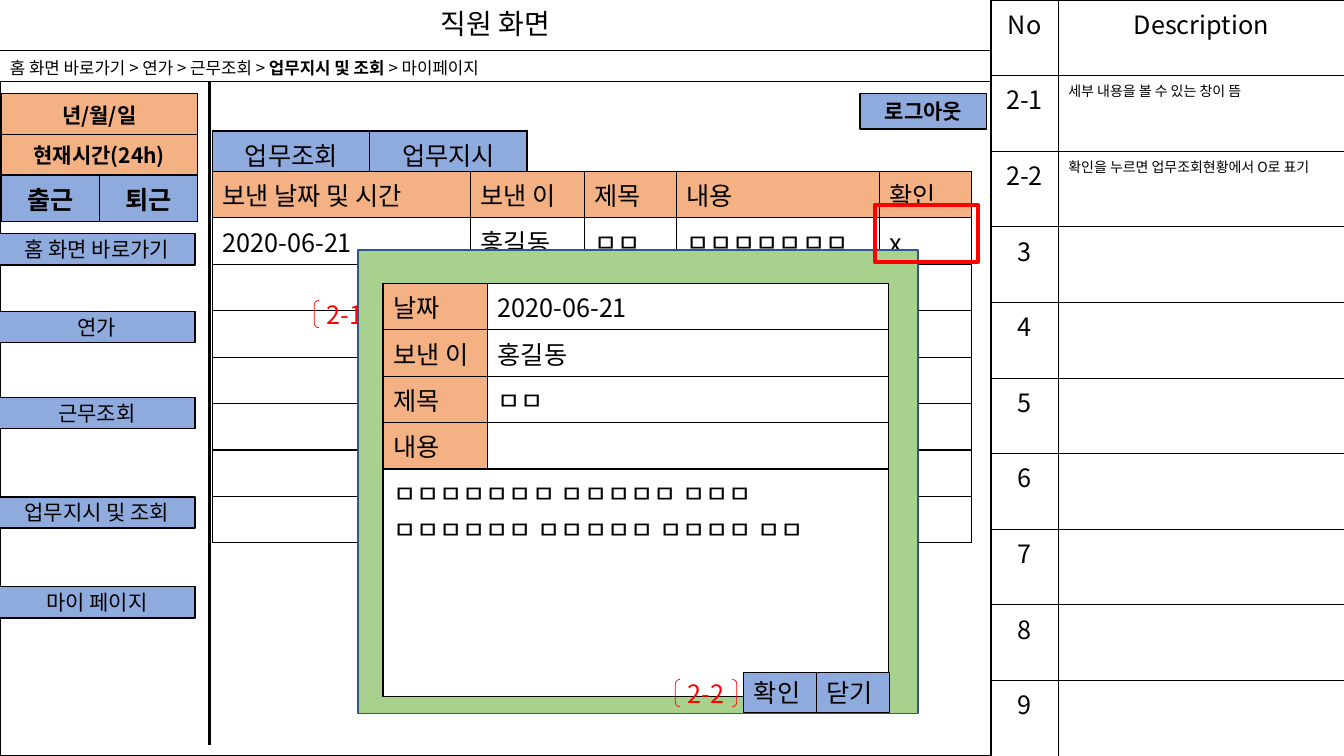
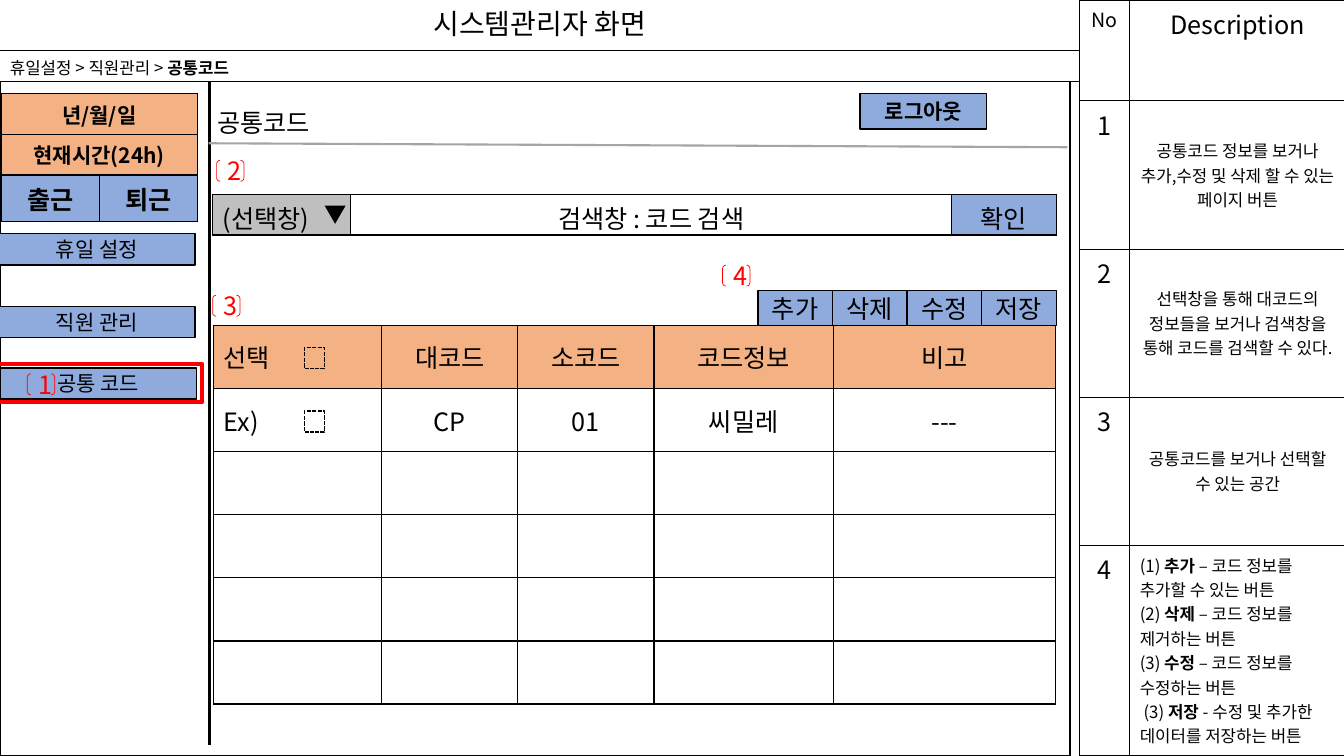
from dataclasses import dataclass
from typing import NamedTuple, Optional

from lxml.etree import SubElement
from pptx import Presentation
from pptx.dml.color import RGBColor
from pptx.enum.dml import MSO_LINE
from pptx.enum.shapes import MSO_CONNECTOR, MSO_SHAPE
from pptx.enum.text import MSO_ANCHOR, PP_ALIGN
from pptx.oxml.ns import qn
from pptx.slide import Slide
from pptx.util import Cm, Pt

BLACK = RGBColor(0, 0, 0)
WHITE = RGBColor(255, 255, 255)
RED = RGBColor(255, 0, 0)
BLUE = RGBColor(0x8F, 0xAA, 0xDC)
NAVY = RGBColor(0x32, 0x54, 0x91)
ORANGE = RGBColor(0xF4, 0xB1, 0x83)
GREEN = RGBColor(0xA9, 0xD1, 0x8E)
SILVER = RGBColor(0xBF, 0xBF, 0xBF)
GRAY = RGBColor(0xA5, 0xA5, 0xA5)
FONT = "Noto Sans CJK KR"
LEFT, MID = PP_ALIGN.LEFT, PP_ALIGN.CENTER
HIGH = 19.05


class Area(NamedTuple):
    left: float
    top: float
    width: float
    height: float


class Style(NamedTuple):
    size: int = 18
    bold: bool = False
    color: RGBColor = BLACK
    align: PP_ALIGN = MID
    anchor: MSO_ANCHOR = MSO_ANCHOR.MIDDLE


class Cell(NamedTuple):
    text: str = ""
    fill: Optional[RGBColor] = None
    style: Style = Style(anchor=MSO_ANCHOR.TOP)


class Button(NamedTuple):
    text: str
    left: float
    top: float


@dataclass
class Grid:
    left: float
    top: float
    cols: list[float]
    rows: list[float]
    cells: list[list[Cell]]
    wide: tuple[int, ...] = ()
    line: float = 1


@dataclass
class Page:
    title: str
    crumbs: str
    body: float
    band: float
    menu: list[Button]
    notes: Grid


TOP = Style(anchor=MSO_ANCHOR.TOP)
START = Style(align=LEFT, anchor=MSO_ANCHOR.TOP)
MENU = Style(15)
STRONG = Style(15, True)
SMALL = Style(12)
TINY = START._replace(size=10)
TAG = Style(color=RED)


def write(frame, text: str, style: Style) -> None:
    frame.text = text
    frame.word_wrap = True
    for para in frame.paragraphs:
        head, *tail = para.text.split("*")
        para.text = head
        para.alignment = style.align
        for part in tail:
            para.add_run().text = part
        for spot, run in enumerate(para.runs):
            font = run.font
            font.size = Pt(style.size)
            font.bold = style.bold or spot % 2 == 1
            font.color.rgb = style.color
            font.name = FONT
            SubElement(run._r.get_or_add_rPr(), qn("a:ea"), typeface=FONT)


def box(slide: Slide, area: Area, text: str = "", style: Style = Style(),
        fill: Optional[RGBColor] = None, line: Optional[RGBColor] = BLACK,
        width: float = 1, kind: MSO_SHAPE = MSO_SHAPE.RECTANGLE):
    shape = slide.shapes.add_shape(kind, *map(Cm, area))
    shape.shadow.inherit = False
    if fill is None:
        shape.fill.background()
    else:
        shape.fill.solid()
        shape.fill.fore_color.rgb = fill
    if line is None:
        shape.line.fill.background()
    else:
        shape.line.color.rgb = line
        shape.line.width = Pt(width)
    if text:
        write(shape.text_frame, text, style)
        shape.text_frame.vertical_anchor = style.anchor
    return shape


def label(slide: Slide, area: Area, text: str, style: Style, wrap: bool = True) -> None:
    frame = slide.shapes.add_textbox(*map(Cm, area)).text_frame
    write(frame, text, style)
    frame.word_wrap = wrap


def rule(slide: Slide, x1: float, y1: float, x2: float, y2: float, color: RGBColor) -> None:
    line = slide.shapes.add_connector(MSO_CONNECTOR.STRAIGHT, Cm(x1), Cm(y1), Cm(x2), Cm(y2))
    line.line.color.rgb = color
    line.line.width = Pt(1.5)
    SubElement(line._element.spPr, qn("a:effectLst"))


def tag(slide: Slide, text: str, left: float, top: float) -> None:
    size = (1.55, 0.69) if len(text) > 1 else (0.69, 0.53)
    box(slide, Area(left, top, *size), text, TAG, line=RED, width=0.5,
        kind=MSO_SHAPE.DOUBLE_BRACKET)


def border(cell, width: float) -> None:
    props = cell._tc.get_or_add_tcPr()
    for side in ("a:lnL", "a:lnR", "a:lnT", "a:lnB"):
        edge = SubElement(props, qn(side), w=str(int(Pt(width))))
        fill = SubElement(edge, qn("a:solidFill"))
        SubElement(fill, qn("a:srgbClr"), val=str(BLACK))


def draw(slide: Slide, grid: Grid) -> None:
    area = Area(grid.left, grid.top, sum(grid.cols), sum(grid.rows))
    table = slide.shapes.add_table(len(grid.rows), len(grid.cols), *map(Cm, area)).table
    table.first_row = table.horz_banding = False
    for col, width in zip(table.columns, grid.cols):
        col.width = Cm(width)
    for row, height in zip(table.rows, grid.rows):
        row.height = Cm(height)
    for y in range(len(grid.rows)):
        given = grid.cells[y] if y < len(grid.cells) else []
        for x in range(len(grid.cols)):
            item = given[x] if x < len(given) else Cell()
            cell = table.cell(y, x)
            border(cell, grid.line)
            if item.fill is None:
                cell.fill.background()
            else:
                cell.fill.solid()
                cell.fill.fore_color.rgb = item.fill
            cell.vertical_anchor = item.style.anchor
            if item.text:
                write(cell.text_frame, item.text, item.style)
    for y in grid.wide:
        table.cell(y, 0).merge(table.cell(y, len(grid.cols) - 1))


def line_up(texts: list[str], fill: Optional[RGBColor], style: Style) -> list[Cell]:
    return [Cell(text, fill, style) for text in texts]


def start(deck, page: Page) -> Slide:
    slide = deck.slides.add_slide(deck.slide_layouts[6])
    box(slide, Area(0, 2.05, page.body, 17), fill=WHITE)
    title = box(slide, Area(0, 0, page.band, 1.27), page.title, Style(20), width=0.75)
    title.text_frame.paragraphs[0].line_spacing = 0.9
    draw(slide, page.notes)
    box(slide, Area(0, 1.27, page.band, 0.78), width=0.75)
    label(slide, Area(0, 1.32, 15.6, 0.76), page.crumbs, START._replace(size=12))
    clock = STRONG._replace(anchor=MSO_ANCHOR.TOP)
    draw(slide, Grid(0.03, 2.36, [2.47] * 2, [1.02, 1.03, 1.17], [
        [Cell("년/월/일", ORANGE, clock)],
        [Cell("현재시간(24h)", ORANGE, clock)],
        line_up(["출근", "퇴근"], BLUE, clock._replace(size=18)),
    ], wide=(0, 1)))
    for item in page.menu:
        box(slide, Area(item.left, item.top, 4.95, 0.79), item.text, MENU, BLUE)
    rule(slide, 5.28, 2.05, 5.28, 18.77, BLACK)
    return slide


def logout(slide: Slide) -> None:
    box(slide, Area(21.67, 2.36, 3.2, 0.89), "로그아웃", STRONG, BLUE)


def staff(deck) -> None:
    notes = [line_up(["No", "Description"], None, TOP),
             [Cell("2-1"), Cell("세부 내용을 볼 수 있는 창이 뜸", None, TINY)],
             [Cell("2-2"), Cell("확인을 누르면 업무조회현황에서 O로 표기", None, TINY)]]
    notes += [[Cell(str(count))] for count in range(3, 10)]
    slide = start(deck, Page(
        "직원 화면",
        "홈 화면 바로가기 > 연가 > 근무조회 > *업무지시 및 조회 *> 마이페이지",
        24.97, 24.97,
        [Button("홈 화면 바로가기", -0.03, 5.89), Button("연가", -0.03, 7.85),
         Button("근무조회", -0.03, 10.01), Button("업무지시 및 조회", -0.03, 12.52),
         Button("마이 페이지", -0.03, 14.78)],
        Grid(24.97, 0, [1.7, 7.21], [HIGH / 10] * 10, notes, line=0.5)))
    draw(slide, Grid(5.36, 3.3, [3.96] * 2, [1.02],
                     [line_up(["업무조회", "업무지시"], BLUE, TOP)]))
    draw(slide, Grid(5.36, 4.32, [6.5, 2.87, 2.31, 5.13, 2.31], [1.17] * 8, [
        line_up(["보낸 날짜 및 시간", "보낸 이", "제목", "내용", "확인"], ORANGE, START),
        line_up(["2020-06-21", "홍길동", "ㅁㅁ", "ㅁㅁㅁㅁㅁㅁㅁ", "x"], None, START),
    ]))
    tag(slide, "2-1", 7.92, 7.57)
    box(slide, Area(9.02, 6.3, 14.12, 11.68), fill=GREEN, line=NAVY)
    facts = [("날짜", "2020-06-21"), ("보낸 이", "홍길동"), ("제목", "ㅁㅁ"), ("내용", "")]
    letter = [[Cell(name, ORANGE, START), Cell(value, WHITE, START)] for name, value in facts]
    letter.append([Cell("ㅁㅁㅁㅁㅁㅁㅁ ㅁㅁㅁㅁㅁ ㅁㅁㅁ ㅁㅁㅁㅁㅁㅁ ㅁㅁㅁㅁㅁ ㅁㅁㅁㅁ ㅁㅁ",
                        WHITE, START)])
    draw(slide, Grid(9.65, 7.14, [2.64, 10.11], [1.17] * 4 + [5.74], letter, wide=(4,)))
    for spot, text in enumerate(["확인", "닫기"]):
        box(slide, Area(18.75 + 1.83 * spot, 16.94, 1.83, 1.02), text, START, BLUE, width=0.75)
    tag(slide, "2-2", 17.02, 17.12)
    logout(slide)
    box(slide, Area(22.05, 5.16, 2.59, 1.45), line=RED, width=3)


def admin(deck) -> None:
    hints = ["공통코드 정보를 보거나 추가,수정 및 삭제 할 수 있는 페이지 버튼",
             "선택창을 통해 대코드의 정보들을 보거나 검색창을 통해 코드를 검색할 수 있다.",
             "공통코드를 보거나 선택할 수 있는 공간"]
    tasks = "\n".join(["(1) *추가 *– 코드 정보를 추가할 수 있는 버튼",
                       "(2) *삭제 *– 코드 정보를 제거하는 버튼",
                       "(3) *수정 *– 코드 정보를 수정하는 버튼",
                       " (3) *저장 *- 수정 및 추가한 데이터를 저장하는 버튼"])
    notes = [[Cell("No", None, TOP._replace(size=14)), Cell("Description")]]
    notes += [[Cell(str(count)), Cell(hint, None, SMALL)] for count, hint in enumerate(hints, 1)]
    notes.append([Cell("4"), Cell(tasks, None, SMALL._replace(align=LEFT))])
    slide = start(deck, Page(
        "시스템관리자 화면", "휴일설정 > 직원관리 > *공통코드", 26.97, 27.2,
        [Button("휴일 설정", -0.03, 5.89), Button("직원 관리", -0.03, 7.72),
         Button("공통 코드", 0, 9.27)],
        Grid(27.2, 0, [1.27, 5.44], [2.54] + [3.73] * 3 + [5.31], notes, line=0.5)))
    box(slide, Area(-0.18, 9.17, 5.28, 0.97), line=RED, width=3)
    label(slide, Area(5.23, 2.59, 3.07, 1.02), "공통코드", START, wrap=False)
    rule(slide, 5.26, 3.61, 26.9, 3.71, GRAY)
    for spot, text in enumerate(["추가", "삭제", "수정", "저장"]):
        box(slide, Area(19.1 + 1.88 * spot, 7.32, 1.88, 0.89), text, Style(), BLUE)
    draw(slide, Grid(5.36, 4.9, [3.48, 15.14, 2.64], [1.02], [
        [Cell("(선택창)", SILVER, START), Cell("검색창 : 코드 검색"), Cell("확인", BLUE)]]))
    near = Style(align=LEFT)
    draw(slide, Grid(5.38, 8.2, [4.24, 3.43, 3.43, 4.52, 5.61], [1.59] * 6, [
        [Cell("선택", ORANGE, near)]
        + line_up(["대코드", "소코드", "코드정보", "비고"], ORANGE, Style()),
        [Cell("Ex)", None, near)] + line_up(["CP", "01", "씨밀레", "---"], None, Style()),
    ]))
    tag(slide, "1", 0.69, 9.42)
    tag(slide, "2", 5.46, 4.04)
    tag(slide, "3", 5.36, 7.44)
    tag(slide, "4", 18.21, 6.68)
    logout(slide)
    for top in (8.76, 10.36):
        check = box(slide, Area(7.67, top, 0.51, 0.53))
        check.line.dash_style = MSO_LINE.SQUARE_DOT
    arrow = box(slide, Area(8.18, 5.18, 0.53, 0.46), fill=BLACK, line=None,
                kind=MSO_SHAPE.ISOSCELES_TRIANGLE)
    arrow.rotation = 180


def main() -> None:
    deck = Presentation()
    deck.slide_width, deck.slide_height = Cm(33.87), Cm(HIGH)
    staff(deck)
    admin(deck)
    deck.save("out.pptx")


if __name__ == "__main__":
    main()
